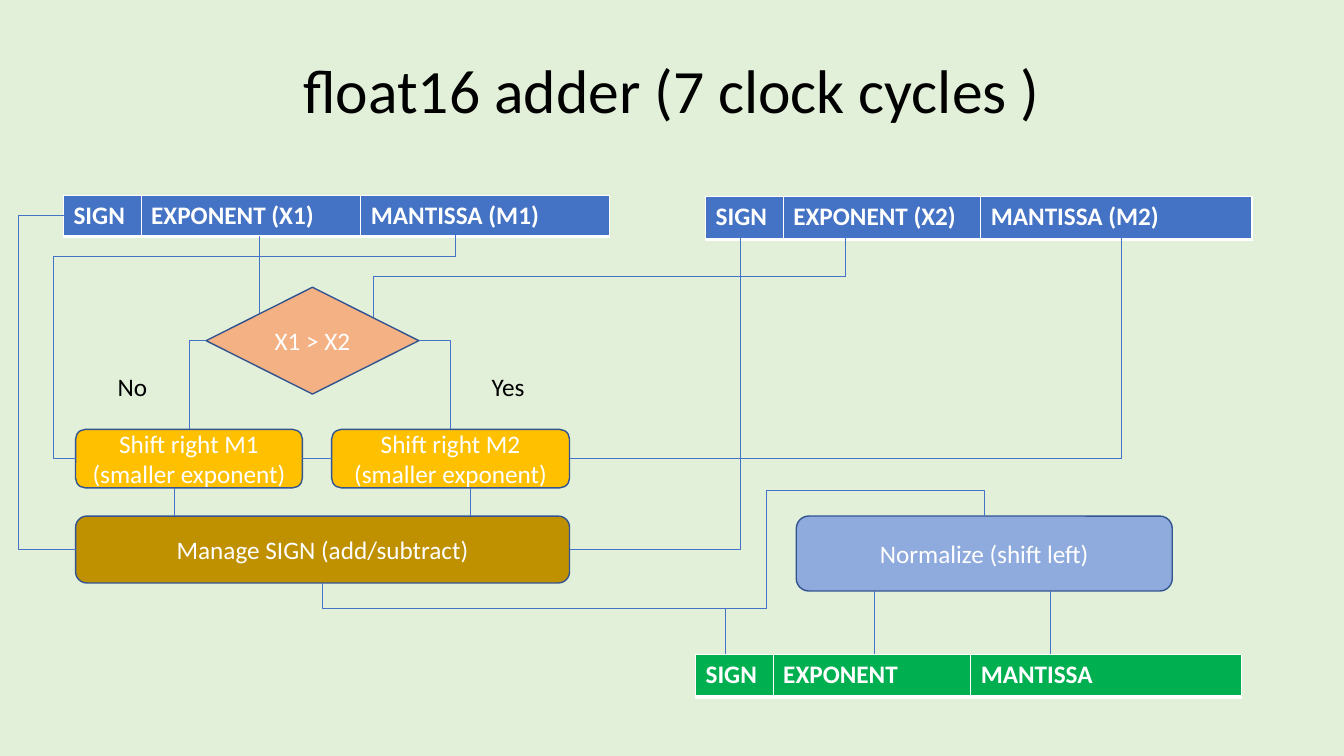
from lxml import etree
from pptx import Presentation
from pptx.dml.color import RGBColor
from pptx.enum.shapes import MSO_CONNECTOR, MSO_SHAPE
from pptx.enum.text import MSO_ANCHOR, PP_ALIGN
from pptx.oxml.ns import qn
from pptx.util import Inches, Pt

STRAIGHT, ELBOW = MSO_CONNECTOR.STRAIGHT, MSO_CONNECTOR.ELBOW
ROUNDED, DECISION = MSO_SHAPE.ROUNDED_RECTANGLE, MSO_SHAPE.FLOWCHART_DECISION
MIDDLE = MSO_ANCHOR.MIDDLE
CENTER, LEFT = PP_ALIGN.CENTER, PP_ALIGN.LEFT

PALE_GREEN = RGBColor(0xE2, 0xF0, 0xD9)
BLACK = RGBColor(0, 0, 0)
WHITE = RGBColor(0xFF, 0xFF, 0xFF)
BLUE = RGBColor(0x44, 0x72, 0xC4)
DARK_BLUE = RGBColor(0x32, 0x54, 0x91)
LIGHT_BLUE = RGBColor(0x8F, 0xAA, 0xDC)
ORANGE = RGBColor(0xF4, 0xB1, 0x83)
YELLOW = RGBColor(0xFF, 0xC0, 0)
BROWN = RGBColor(0xBF, 0x90, 0)
GREEN = RGBColor(0, 0xB0, 0x50)

COLUMNS, ROWS = 80, 45
RIGHT_SIDE, LEFT_SIDE = 3, 1


class Diagram:
    font = "Calibri"
    text_size = 18
    wire_width = 0.5
    outline_width = 1
    cell_borders = {"a:lnL": 1, "a:lnR": 1, "a:lnT": 1, "a:lnB": 3}

    def __init__(self, presentation):
        self.column = presentation.slide_width / COLUMNS
        self.row = presentation.slide_height / ROWS
        self.slide = presentation.slides.add_slide(presentation.slide_layouts[5])
        background = self.slide.background.fill
        background.solid()
        background.fore_color.rgb = PALE_GREEN

    def x(self, columns):
        return round(columns * self.column)

    def y(self, rows):
        return round(rows * self.row)

    def box(self, left, top, width, height):
        return self.x(left), self.y(top), self.x(width), self.y(height)

    def set_text(self, text_frame, text, color, align=LEFT, size=text_size, bold=False):
        text_frame.text = text
        for paragraph in text_frame.paragraphs:
            paragraph.alignment = align
            for run in paragraph.runs:
                run.font.name = self.font
                run.font.size = Pt(size)
                run.font.bold = bold
                run.font.color.rgb = color

    def title(self, text, *place):
        title = self.slide.shapes.title
        title.left, title.top, title.width, title.height = self.box(*place)
        self.set_text(title.text_frame, text, BLACK, CENTER, 44)
        title.text_frame.vertical_anchor = MIDDLE
        title.text_frame.paragraphs[0].line_spacing = 0.9

    def label(self, text, *place):
        label = self.slide.shapes.add_textbox(*self.box(*place))
        label.text_frame.word_wrap = True
        self.set_text(label.text_frame, text, BLACK)

    def block(self, kind, text, fill, *place):
        shape = self.slide.shapes.add_shape(kind, *self.box(*place))
        shape.shadow.inherit = False
        shape.fill.solid()
        shape.fill.fore_color.rgb = fill
        shape.line.color.rgb = DARK_BLUE
        shape.line.width = Pt(self.outline_width)
        shape.text_frame.word_wrap = True
        shape.text_frame.vertical_anchor = MIDDLE
        self.set_text(shape.text_frame, text, WHITE, CENTER)
        return shape

    def register(self, names, fill, left, top, widths, height):
        place = self.box(left, top, sum(widths), height)
        table = self.slide.shapes.add_table(1, len(names), *place).table
        for index, (name, width) in enumerate(zip(names, widths)):
            table.columns[index].width = self.x(width)
            cell = table.cell(0, index)
            self.set_text(cell.text_frame, name, WHITE, bold=True)
            properties = cell._tc.get_or_add_tcPr()
            for side, points in self.cell_borders.items():
                border = etree.SubElement(properties, qn(side), w=str(Pt(points)))
                solid = etree.SubElement(border, qn("a:solidFill"))
                etree.SubElement(solid, qn("a:srgbClr"), val=str(WHITE))
            cell.fill.solid()
            cell.fill.fore_color.rgb = fill

    def connector(self, kind, start, end):
        connector = self.slide.shapes.add_connector(
            kind, self.x(start[0]), self.y(start[1]), self.x(end[0]), self.y(end[1]))
        connector.line.color.rgb = BLUE
        connector.line.width = Pt(self.wire_width)
        etree.SubElement(connector._element.spPr, qn("a:effectLst"))
        return connector

    def wire(self, start, end, source=None, target=None):
        connector = self.connector(STRAIGHT, start, end)
        if source is not None:
            connector.begin_connect(source, RIGHT_SIDE)
        if target is not None:
            connector.end_connect(target, LEFT_SIDE)

    def elbow(self, start, end, preset, rotation=0, flips="", adjustments=()):
        (left, right), (top, bottom) = map(sorted, zip(start, end))
        connector = self.connector(ELBOW, (left, top), (right, bottom))
        if rotation % 180:
            width, height = connector.width, connector.height
            connector.left += (width - height) // 2
            connector.top += (height - width) // 2
            connector.width, connector.height = height, width
        properties = connector._element.spPr
        transform = properties.find(qn("a:xfrm"))
        transform.set("rot", str(rotation * 60000))
        for flip in flips:
            transform.set("flip" + flip, "1")
        geometry = properties.find(qn("a:prstGeom"))
        geometry.set("prst", preset)
        values = geometry.find(qn("a:avLst"))
        for number, share in enumerate(adjustments, 1):
            etree.SubElement(values, qn("a:gd"), name=f"adj{number}",
                             fmla=f"val {round(share * 100000)}")


def main():
    presentation = Presentation()
    presentation.slide_width, presentation.slide_height = Inches(13.33), Inches(7.5)
    diagram = Diagram(presentation)
    diagram.title("float16 adder (7 clock cycles )", 5.5, 2.4, 69, 6.3)

    wide_exponent, wide_mantissa = (4.62, 13.08, 14.82), (4.62, 11.76, 16.14)
    diagram.register(("SIGN", "EXPONENT (X1)", "MANTISSA (M1)"), BLUE,
                     3.78, 11.64, wide_exponent, 2.36)
    diagram.register(("SIGN", "EXPONENT (X2)", "MANTISSA (M2)"), BLUE,
                     42, 11.7, wide_mantissa, 2.55)

    register_bottom, decision_entry, exponent_turn = 14.04, 18.96, 16.44
    for start, end in (
        ((15.42, register_bottom), (15.42, decision_entry)),
        ((50.34, register_bottom), (50.34, exponent_turn)),
        ((50.34, exponent_turn), (22.2, exponent_turn)),
        ((22.2, exponent_turn), (22.2, decision_entry)),
    ):
        diagram.wire(start, end)

    diagram.block(DECISION, "X1 > X2", ORANGE, 12.27, 17.1, 12.66, 6.36)
    shift_m2 = diagram.block(ROUNDED, "Shift right M2\n(smaller exponent)", YELLOW,
                             19.74, 25.56, 14.16, 3.48)
    shift_m1 = diagram.block(ROUNDED, "Shift right M1\n(smaller exponent)", YELLOW,
                             4.5, 25.56, 13.5, 3.48)
    diagram.elbow((24.93, 20.28), (26.82, 25.56), "bentConnector2")
    diagram.label("Yes", 28.68, 21.78, 3.66, 2.4)
    diagram.elbow((12.27, 20.28), (11.25, 25.56), "bentConnector2", 180, "V")
    diagram.label("No", 6.42, 21.78, 3.36, 2.4)

    diagram.block(ROUNDED, "Manage SIGN (add/subtract)", BROWN, 4.5, 30.72, 29.4, 3.98)
    diagram.elbow((44.04, register_bottom), (33.9, 32.72), "bentConnector2", 90)
    diagram.elbow((3.78, 12.84), (4.5, 32.72), "bentConnector3", 180, "HV", [-3.75])
    diagram.wire((33.9, 27.3), (66.72, 27.3), source=shift_m2)
    diagram.wire((66.72, 27.3), (66.72, register_bottom))
    diagram.elbow((4.5, 27.3), (27.12, 15.24), "bentConnector3", 180, "H", [-0.06])
    diagram.wire((27.12, 15.24), (27.12, 13.56))
    for column in (10.38, 28.02):
        diagram.wire((column, 29.04), (column, 30.72))

    diagram.block(ROUNDED, "Normalize (shift left)", LIGHT_BLUE, 47.4, 30.72, 22.38, 4.46)
    diagram.elbow((58.59, 30.72), (19.2, 34.7), "bentConnector5", 270, "HV",
                  [-0.38, 0.33, 1.38])
    diagram.register(("SIGN", "EXPONENT", "MANTISSA"), GREEN,
                     41.4, 38.94, wide_mantissa, 2.55)
    for column, top in ((52.02, 35.18), (62.52, 35.18), (43.2, 36.2)):
        diagram.wire((column, top), (column, 38.94))
    diagram.wire((18, 27.3), (19.74, 27.3), shift_m1, shift_m2)
    presentation.save("out.pptx")


if __name__ == "__main__":
    main()
